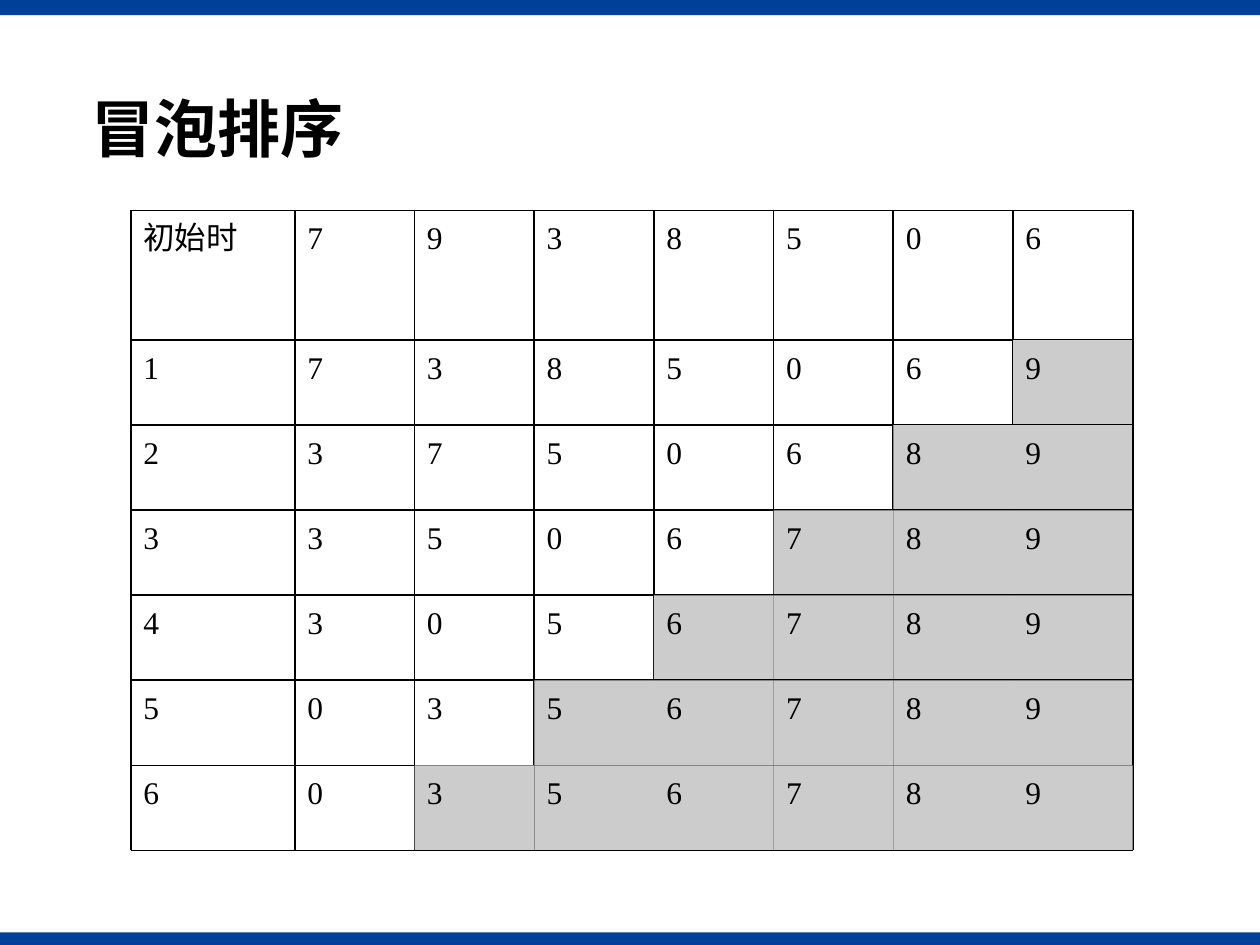
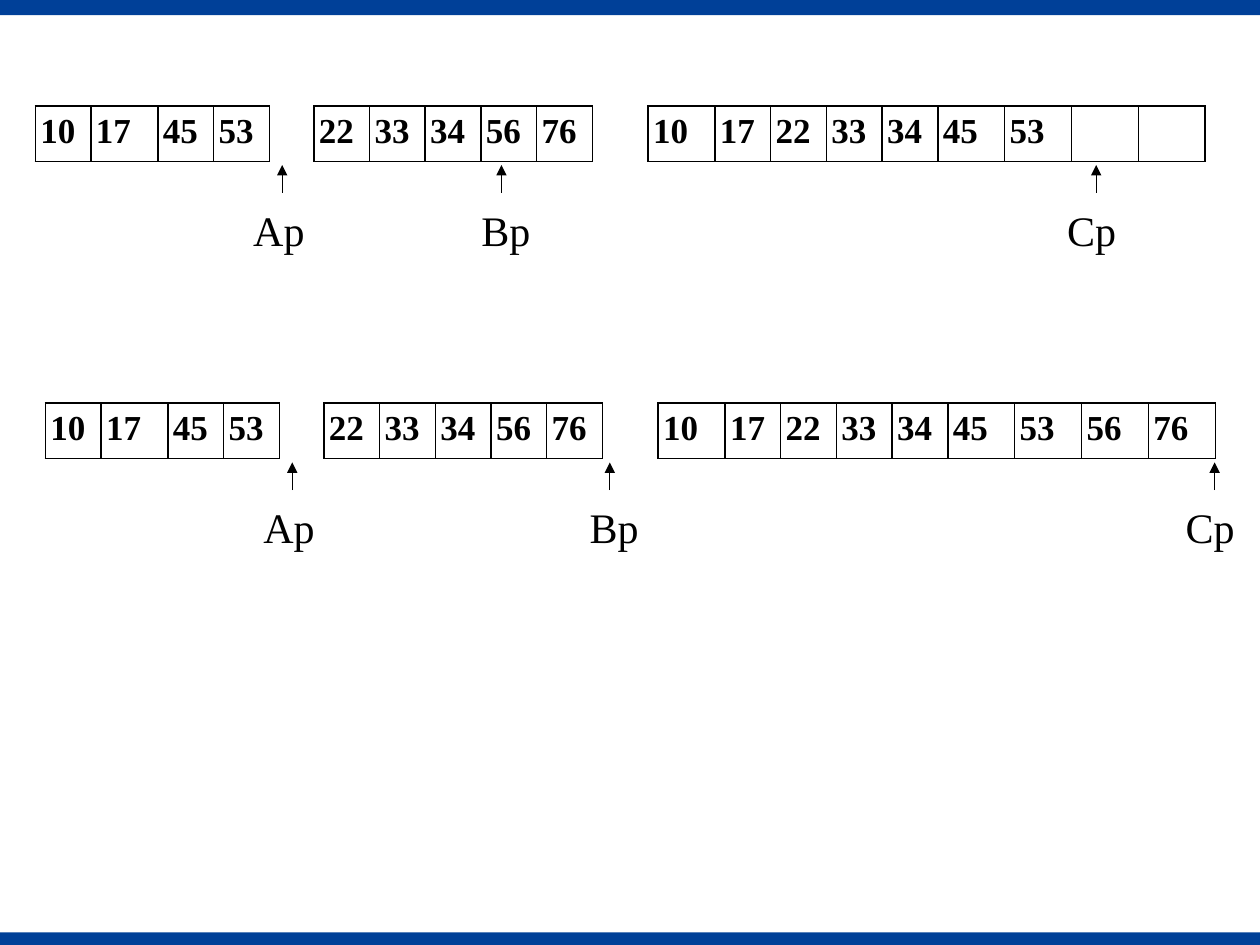
from itertools import accumulate

from lxml import etree
from pptx import Presentation
from pptx.dml.color import RGBColor
from pptx.enum.shapes import MSO_CONNECTOR, MSO_SHAPE
from pptx.enum.text import MSO_ANCHOR, PP_ALIGN
from pptx.oxml.ns import qn
from pptx.util import Inches, Pt

BLACK = RGBColor(0x00, 0x00, 0x00)
BLUE = RGBColor(0x00, 0x40, 0x98)
GRAY = RGBColor(0xCC, 0xCC, 0xCC)
FONT = "Times New Roman"

SORT_STEPS = [
    ["初始时", 7, 9, 3, 8, 5, 0, 6],
    [1, 7, 3, 8, 5, 0, 6, 9],
    [2, 3, 7, 5, 0, 6, 8, 9],
    [3, 3, 5, 0, 6, 7, 8, 9],
    [4, 3, 0, 5, 6, 7, 8, 9],
    [5, 0, 3, 5, 6, 7, 8, 9],
    [6, 0, 3, 5, 6, 7, 8, 9],
]
VALUE_COUNT = 7
GRID_X = list(accumulate([1.04, 1.3] + [0.95] * VALUE_COUNT))
GRID_Y = list(accumulate([1.67, 1.03] + [4.05 / 6] * 6))

ARRAY_A = [10, 17, 45, 53]
ARRAY_B = [22, 33, 34, 56, 76]
MERGED = [10, 17, 22, 33, 34, 45, 53]
GAP = None
ARRAY_WIDTH = 9.29
ARRAY_HEIGHT = 0.44
COLUMN_UNITS = [5, 6, 5, 5, 4, 5, 5, 5, 5, 5, 5, 6, 5, 5, 5, 5, 6, 6, 6, 6]


def format_paragraph(paragraph, size, bold=False):
    paragraph.font.name = FONT
    paragraph.font.size = Pt(size)
    paragraph.font.bold = bold
    paragraph.font.color.rgb = BLACK


def add_rectangle(slide, left, top, width, height, color):
    rectangle = slide.shapes.add_shape(
        MSO_SHAPE.RECTANGLE, Inches(left), Inches(top), Inches(width), Inches(height))
    rectangle.shadow.inherit = False
    rectangle.fill.solid()
    rectangle.fill.fore_color.rgb = color
    rectangle.line.fill.background()
    return rectangle


def add_line(slide, x1, y1, x2, y2, width, arrow=False):
    line = slide.shapes.add_connector(
        MSO_CONNECTOR.STRAIGHT, Inches(x1), Inches(y1), Inches(x2), Inches(y2))
    line.line.color.rgb = BLACK
    line.line.width = Pt(width)
    if arrow:
        outline = line.element.spPr.find(qn("a:ln"))
        etree.SubElement(outline, qn("a:tailEnd"), type="triangle")
    etree.SubElement(line.element.spPr, qn("a:effectLst"))


def add_master_bands(presentation, slide):
    master_tree = presentation.slide_master.shapes.element
    for index, (top, height) in enumerate([(7.4, 0.1), (0, 0.12)]):
        band = add_rectangle(slide, 0, top, 10, height, BLUE)
        band.element.nvSpPr.cNvPr.id = 20 + index
        master_tree.insert(2 + index, band.element)


def set_title(slide, text):
    title = slide.shapes.title
    title.left, title.top = Inches(0.63), Inches(0.73)
    title.width, title.height = Inches(8.5), Inches(0.79)
    title.text_frame.text = text
    title.text_frame.vertical_anchor = MSO_ANCHOR.TOP
    paragraph = title.text_frame.paragraphs[0]
    paragraph.alignment = PP_ALIGN.LEFT
    paragraph.line_spacing = 0.9
    format_paragraph(paragraph, 36, bold=True)


def add_sort_cell(slide, row, column):
    left, top = GRID_X[column], GRID_Y[row]
    width, height = GRID_X[column + 1] - left, GRID_Y[row + 1] - top
    if row > 0 and column > VALUE_COUNT - row:
        cell = add_rectangle(slide, left, top, width, height, GRAY)
    else:
        cell = slide.shapes.add_textbox(
            Inches(left), Inches(top), Inches(width), Inches(height))
    frame = cell.text_frame
    frame.word_wrap = True
    frame.vertical_anchor = MSO_ANCHOR.TOP
    frame.text = str(SORT_STEPS[row][column])
    paragraph = frame.paragraphs[0]
    paragraph.alignment = PP_ALIGN.LEFT
    paragraph.line_spacing = Pt(22.5)
    format_paragraph(paragraph, 18)


def add_sort_grid(slide):
    left, right, top, bottom = GRID_X[0], GRID_X[-1], GRID_Y[0], GRID_Y[-1]
    for x in GRID_X[1:-1]:
        add_line(slide, x, top, x, bottom, 1)
    add_line(slide, left, top, right, top, 1)
    last_row = len(SORT_STEPS) - 1
    for row in range(len(SORT_STEPS)):
        if row == last_row:
            for x in (left, right):
                add_line(slide, x, top, x, bottom, 1)
        for column in range(VALUE_COUNT, -1, -1):
            add_sort_cell(slide, row, column)
        add_line(slide, left, GRID_Y[row + 1], right, GRID_Y[row + 1], 1)


def set_borders(cell, sides):
    properties = cell._tc.get_or_add_tcPr()
    for side in "LRTB":
        line = etree.SubElement(properties, qn(f"a:ln{side}"), w=str(Pt(1)))
        if side in sides:
            fill = etree.SubElement(line, qn("a:solidFill"))
            etree.SubElement(fill, qn("a:srgbClr"), val=str(BLACK))
        else:
            etree.SubElement(line, qn("a:noFill"))


def add_arrays(slide, left, top, merged):
    values = ARRAY_A + [GAP] + ARRAY_B + [GAP] + merged
    values += [None] * (len(COLUMN_UNITS) - len(values))
    gap_columns = (len(ARRAY_A), len(ARRAY_A) + len(ARRAY_B) + 1)
    table = slide.shapes.add_table(
        1, len(values), Inches(left), Inches(top),
        Inches(ARRAY_WIDTH), Inches(ARRAY_HEIGHT)).table
    table.first_row = table.horz_banding = False
    unit = ARRAY_WIDTH / sum(COLUMN_UNITS)
    for column, value in enumerate(values):
        table.columns[column].width = Inches(COLUMN_UNITS[column] * unit)
        cell = table.cell(0, column)
        cell.margin_left = cell.margin_right = Inches(0.04)
        set_borders(cell, "LR" if column in gap_columns else "LRTB")
        cell.fill.background()
        cell.text = "" if value is None else str(value)
        format_paragraph(cell.text_frame.paragraphs[0], 20, bold=True)


def add_pointer(slide, name, x, array_top, label_shift, label_width):
    add_line(slide, x, array_top + 0.69, x, array_top + 0.47, 0.75, arrow=True)
    label = slide.shapes.add_textbox(
        Inches(x - label_shift), Inches(array_top + 0.78), Inches(label_width), Inches(0.39))
    frame = label.text_frame
    frame.word_wrap = True
    frame.margin_left = frame.margin_right = frame.margin_top = frame.margin_bottom = 0
    frame.text = name
    frame.paragraphs[0].alignment = PP_ALIGN.JUSTIFY
    format_paragraph(frame.paragraphs[0], 24)


def add_merge_state(slide, left, top, merged, a_x, b_x, c_x):
    add_arrays(slide, left, top, merged)
    add_pointer(slide, "Ap", a_x, top, 0.23, 0.63)
    add_pointer(slide, "Bp", b_x, top, 0.16, 0.47)
    add_pointer(slide, "Cp", c_x, top, 0.23, 0.63)


def main():
    presentation = Presentation()
    presentation.slide_width, presentation.slide_height = Inches(10), Inches(7.5)

    sort_slide = presentation.slides.add_slide(presentation.slide_layouts[5])
    add_master_bands(presentation, sort_slide)
    set_title(sort_slide, "冒泡排序")
    add_sort_grid(sort_slide)

    merge_slide = presentation.slides.add_slide(presentation.slide_layouts[6])
    add_merge_state(merge_slide, 0.28, 0.84, MERGED, 2.24, 3.98, 8.7)
    add_merge_state(merge_slide, 0.36, 3.2, MERGED + [56, 76], 2.32, 4.84, 9.64)

    presentation.save("out.pptx")


if __name__ == "__main__":
    main()
